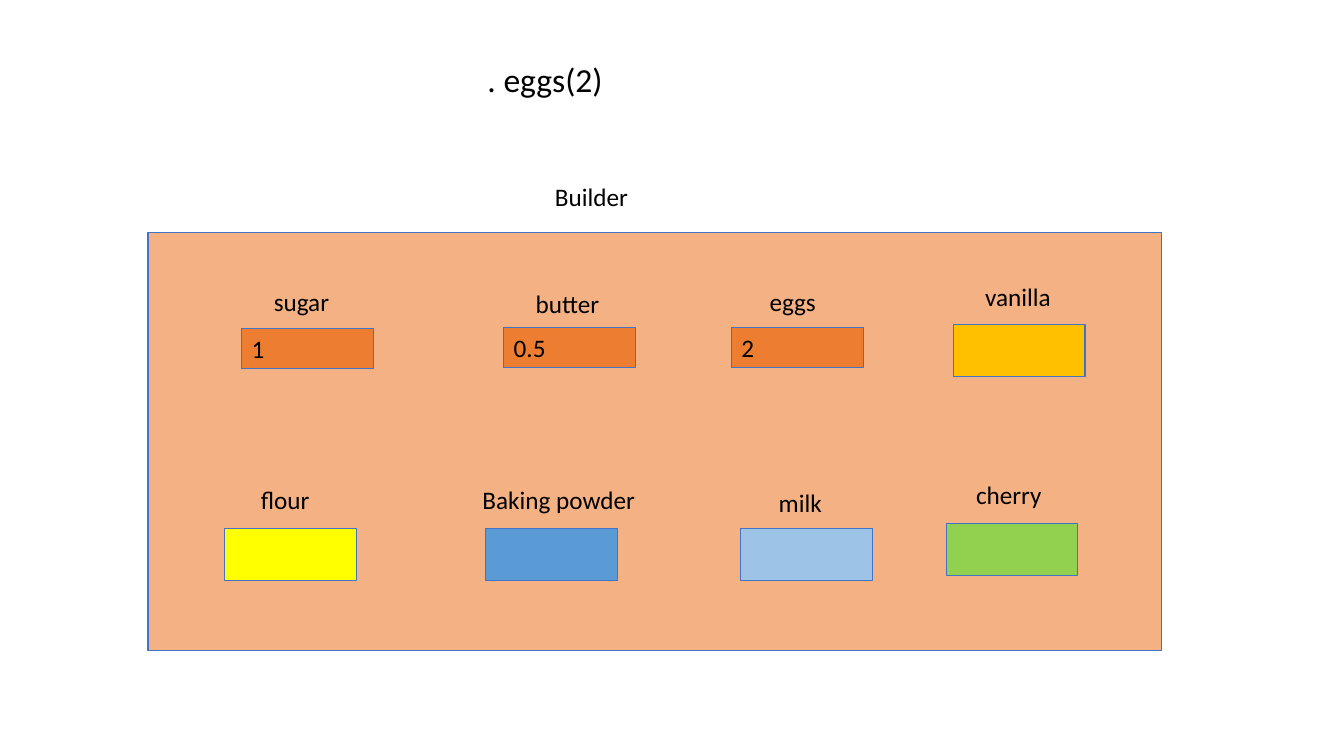
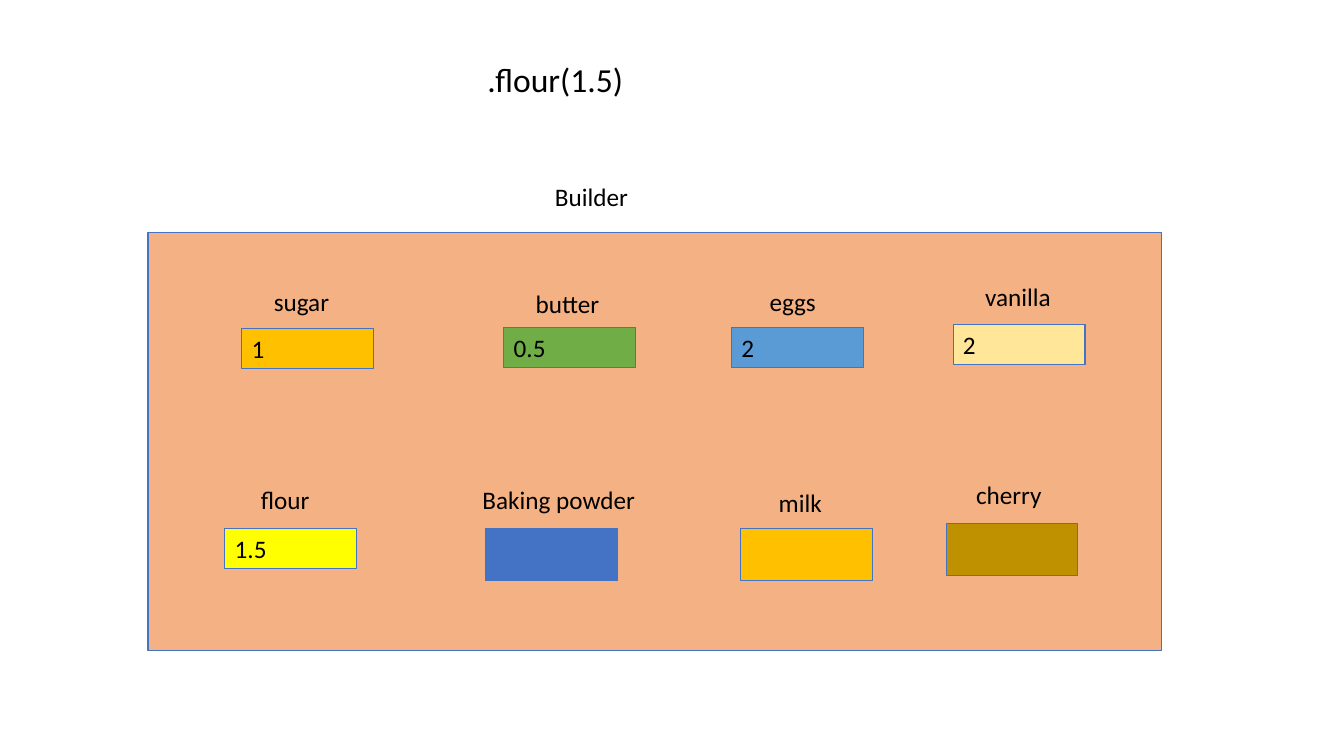
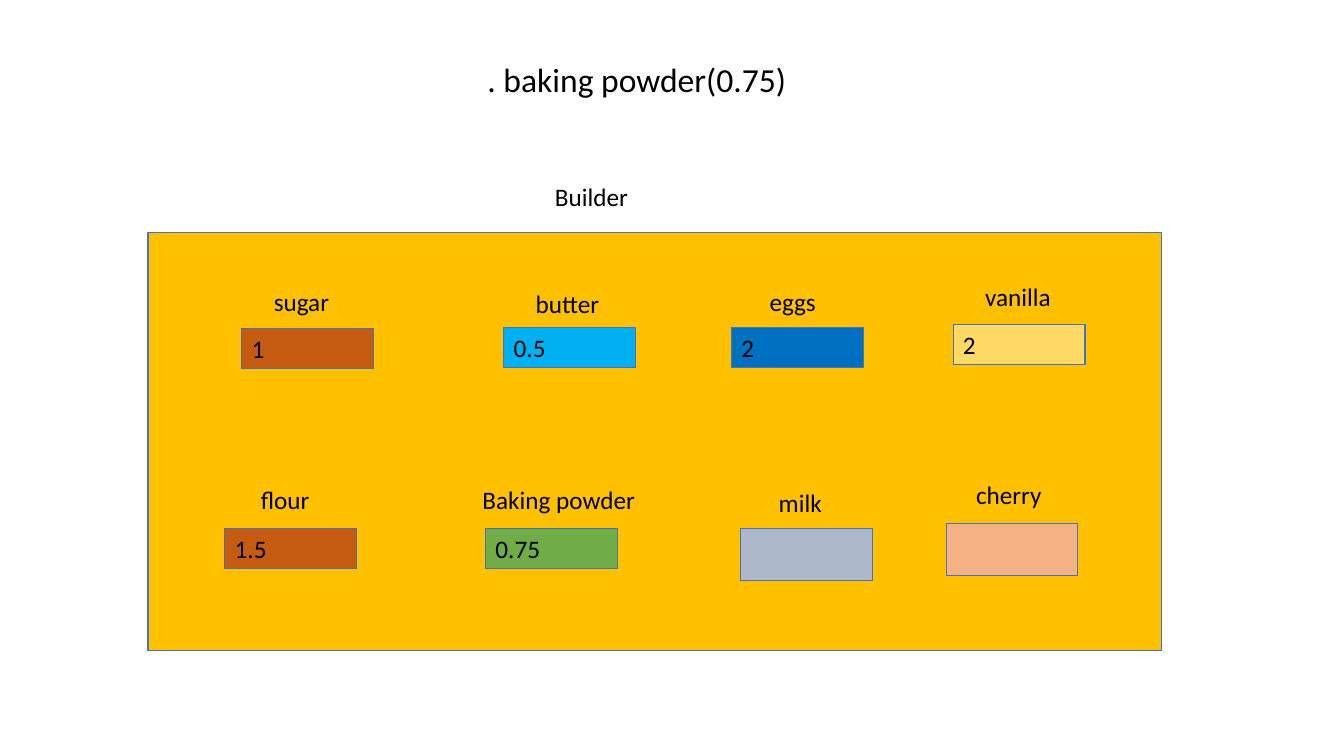
"""Three steps of a cake builder: each slide shows a call and the ingredients set so far."""
import pptx
import pptx.dml.color
import pptx.enum.shapes
import pptx.enum.text
import pptx.util

Pt = pptx.util.Pt
RGBColor = pptx.dml.color.RGBColor

COLOURS = {
    "black": "000000", "outline": "4472C4", "peach": "F4B183", "orange": "ED7D31",
    "rust": "C55A11", "amber": "FFC000", "gold": "FFD966", "cream": "FFE699",
    "mustard": "BF9000", "yellow": "FFFF00", "lime": "92D050", "green": "70AD47",
    "sky": "00B0F0", "pale blue": "9DC3E6", "soft blue": "5B9BD5",
    "blue": "4472C4", "deep blue": "0070C0", "grey": "ADB9CA",
}
FRAME_FORMAT = {
    "word_wrap": True,
    "auto_size": pptx.enum.text.MSO_AUTO_SIZE.SHAPE_TO_FIT_TEXT,
    "vertical_anchor": pptx.enum.text.MSO_ANCHOR.TOP,
    "margin_left": Pt(7.2), "margin_right": Pt(7.2),
    "margin_top": Pt(3.6), "margin_bottom": Pt(3.6),
}
TEXT_HEIGHT, EMPTY_HEIGHT, BOX_WIDTH = 28.8, 37.4, 94.3
INGREDIENTS = [
    # name, label left, label top, label width, box left, box top
    ("sugar", 188.6, 200.9, 67.7, 172.8, 234.7),
    ("butter", 375.8, 202.3, 67.7, 360, 234),
    ("eggs", 542.9, 200.9, 67.7, 522.7, 234),
    ("vanilla", 697, 197.3, 67.7, 681.1, 231.8),
    ("flour", 179.3, 342.7, 67.7, 160.6, 377.3),
    ("Baking powder", 337.7, 342.7, 123.8, 347, 377.3),
    ("milk", 549.4, 344.9, 67.7, 529.2, 377.3),
    ("cherry", 690.5, 339.1, 67.7, 676.1, 373.7),
]
STEPS = [
    {"call": ". eggs(2)", "width": 113.8, "panel": "peach",
     "fills": ["orange", "orange", "orange", "amber",
               "yellow", "soft blue", "pale blue", "lime"],
     "amounts": ["1", "0.5", "2", "", "", "", "", ""]},
    {"call": ".flour(1.5)", "width": 113.8, "panel": "peach",
     "fills": ["amber", "green", "soft blue", "cream",
               "yellow", "blue", "amber", "mustard"],
     "amounts": ["1", "0.5", "2", "2", "1.5", "", "", ""]},
    {"call": ". baking powder(0.75)", "width": 240.5, "panel": "amber",
     "fills": ["rust", "sky", "deep blue", "gold",
               "rust", "green", "grey", "peach"],
     "amounts": ["1", "0.5", "2", "2", "1.5", "0.75", "", ""]},
]


def write_text(shape, text, size=18):
    for name, value in FRAME_FORMAT.items():
        setattr(shape.text_frame, name, value)
    paragraph = shape.text_frame.paragraphs[0]
    paragraph.text = text
    paragraph.alignment = pptx.enum.text.PP_ALIGN.LEFT
    for name, value in {"name": "Calibri", "size": Pt(size)}.items():
        setattr(paragraph.font, name, value)
    paragraph.font.color.rgb = RGBColor.from_string(COLOURS["black"])


def add_box(slide, left, top, width, height, colour):
    shape = slide.shapes.add_shape(
        pptx.enum.shapes.MSO_SHAPE.RECTANGLE, Pt(left), Pt(top), Pt(width), Pt(height))
    shape.shadow.inherit = False
    shape.fill.solid()
    shape.fill.fore_color.rgb = RGBColor.from_string(COLOURS[colour])
    shape.line.color.rgb = RGBColor.from_string(COLOURS["outline"])
    shape.line.width = Pt(0.75)
    return shape


presentation = pptx.Presentation()
presentation.slide_width = Pt(960.5)
presentation.slide_height = Pt(540)

for step in STEPS:
    slide = presentation.slides.add_slide(presentation.slide_layouts[6])
    add_box(slide, 105.8, 166.3, 724.3, 298.1, step["panel"])

    captions = [
        (step["call"], 341.3, 38.9, step["width"], 36, 24),
        ("Builder", 389.5, 126, 72, TEXT_HEIGHT, 18),
    ]
    for ingredient, colour, amount in zip(INGREDIENTS, step["fills"], step["amounts"]):
        name, label_left, label_top, label_width, box_left, box_top = ingredient
        captions.append((name, label_left, label_top, label_width, TEXT_HEIGHT, 18))
        height = TEXT_HEIGHT if amount else EMPTY_HEIGHT
        box = add_box(slide, box_left, box_top, BOX_WIDTH, height, colour)
        if amount:
            write_text(box, amount)

    for text, left, top, width, height, size in captions:
        caption = slide.shapes.add_textbox(Pt(left), Pt(top), Pt(width), Pt(height))
        write_text(caption, text, size)

presentation.save("out.pptx")
